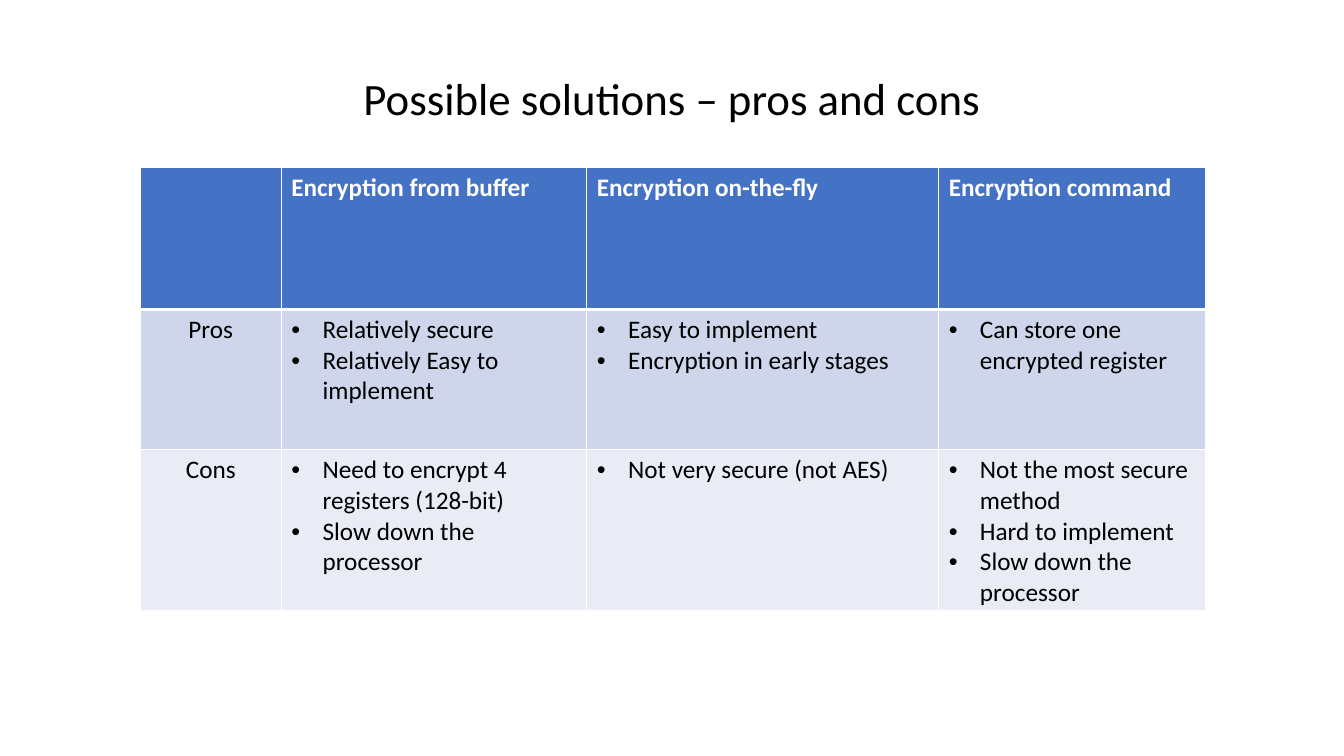
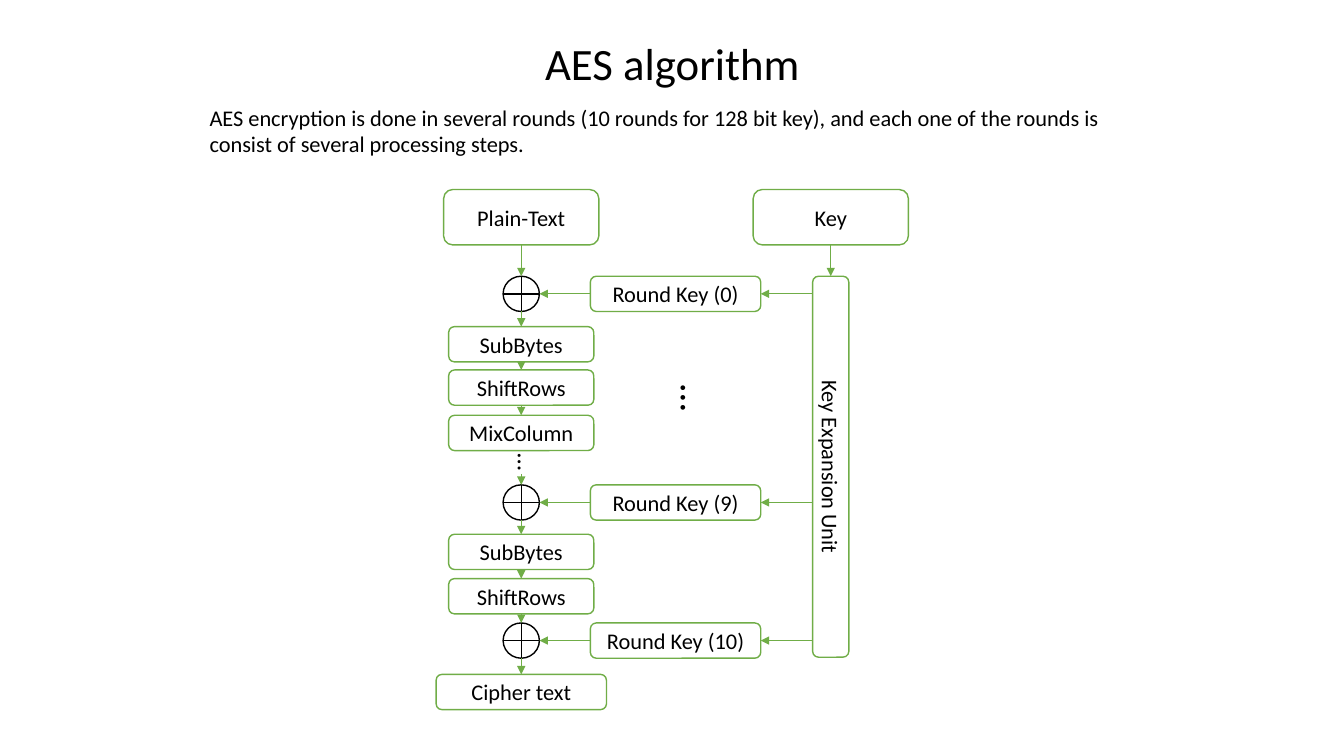
from itertools import pairwise

from lxml.etree import SubElement
from pptx import Presentation
from pptx.dml.color import RGBColor
from pptx.enum.shapes import MSO_CONNECTOR as Line, MSO_SHAPE as Preset
from pptx.enum.text import MSO_ANCHOR as Anchor, PP_ALIGN as Align
from pptx.oxml import parse_xml
from pptx.oxml.ns import nsdecls, qn
from pptx.util import Inches, Pt

FONT = "Calibri"
COLORS = {"text": "000000", "white": "FFFFFF", "header": "4472C4",
          "pros": "CFD5EA", "cons": "E9EBF5", "green": "70AD47"}

HEADINGS = ["Encryption from buffer", "Encryption on-the-fly", "Encryption command"]
ROWS = [
    ("Pros", "pros", [
        ["Relatively secure", "Relatively Easy to implement"],
        ["Easy to implement", "Encryption in early stages"],
        ["Can store one encrypted register"]]),
    ("Cons", "cons", [
        ["Need to encrypt 4 registers (128-bit)", "Slow down the processor"],
        ["Not very secure (not AES)"],
        ["Not the most secure method", "Hard to implement", "Slow down the processor"]]),
]
COLUMN_WIDTHS = [1.4, 3.03, 3.49, 2.65]
ROW_HEIGHTS = [1.41, 1.39, 1.39]

INTRO = ("AES encryption is done in several rounds (10 rounds for 128 bit key), "
         "and each one of the rounds is consist of several processing steps.")
BOX_HEIGHT, XOR_WIDTH = 0.35, 0.36
INPUT_SIZE, STEP_WIDTH, WIDE_WIDTH = (1.54, 0.55), 1.44, 1.69
FLOW_X, ROUND_X, KEY_X = 5.17, 6.7, 8.24
FIRST_ROUNDS = [("SubBytes", 3.24), ("ShiftRows", 3.67), ("MixColumn", 4.12)]
LAST_ROUND = [("SubBytes", 5.3), ("ShiftRows", 5.74)]
ROUND_KEYS = [("Round Key (0)", 2.74), ("Round Key (9)", 4.81), ("Round Key (10)", 6.18)]
DOTS = [((6.66, 3.68, 0.49, 0.57), 28), ((4.99, 4.45, 0.49, 0.4), 18)]


def rgb(name):
    return RGBColor.from_string(COLORS[name])


def write(frame, text, size, align=Align.LEFT, color="text", bold=False, first=True):
    para = frame.paragraphs[0] if first else frame.add_paragraph()
    para.alignment = align
    span = para.add_run()
    span.text = text
    span.font.name, span.font.size, span.font.bold = FONT, Pt(size), bold
    span.font.color.rgb = rgb(color)
    return para


def add_text(page, place, text, size, align=Align.LEFT, rotation=0):
    box = page.shapes.add_textbox(*map(Inches, place))
    box.rotation = rotation
    box.text_frame.word_wrap = True
    write(box.text_frame, text, size, align)


def add_page(deck, title, place):
    page = deck.slides.add_slide(deck.slide_layouts[6])
    add_text(page, place, title, 32, Align.CENTER)
    return page


def bullet(para):
    props = para._p.get_or_add_pPr()
    indent = Inches(0.31)
    props.set("marL", str(indent))
    props.set("indent", str(-indent))
    SubElement(props, qn("a:buFont")).set("typeface", "Arial")
    SubElement(props, qn("a:buChar")).set("char", "•")


def style_cell(cell, fill, top=1, bottom=1):
    cell.fill.solid()
    cell.fill.fore_color.rgb = rgb(fill)
    props = cell._tc.get_or_add_tcPr()
    borders = [("lnL", 1), ("lnR", 1), ("lnT", top), ("lnB", bottom)]
    for position, (side, width) in enumerate(borders):
        props.insert(position, parse_xml(
            f'<a:{side} {nsdecls("a")} w="{Pt(width)}"><a:solidFill>'
            f'<a:srgbClr val="{COLORS["white"]}"/></a:solidFill></a:{side}>'))


def build_comparison(deck):
    page = add_page(deck, "Possible solutions – pros and cons", (3.17, 0.65, 6.99, 0.64))
    place = (1.39, 1.66, sum(COLUMN_WIDTHS), sum(ROW_HEIGHTS))
    table = page.shapes.add_table(len(ROW_HEIGHTS), len(COLUMN_WIDTHS),
                                  *map(Inches, place)).table
    for column, width in zip(table.columns, COLUMN_WIDTHS):
        column.width = Inches(width)
    for row, height in zip(table.rows, ROW_HEIGHTS):
        row.height = Inches(height)

    for index in range(len(COLUMN_WIDTHS)):
        style_cell(table.cell(0, index), "header", bottom=3)
    for index, heading in enumerate(HEADINGS, 1):
        write(table.cell(0, index).text_frame, heading, 18, color="white", bold=True)

    for row, (label, fill, groups) in enumerate(ROWS, 1):
        for index in range(len(COLUMN_WIDTHS)):
            style_cell(table.cell(row, index), fill, top=3 if row == 1 else 1)
        write(table.cell(row, 0).text_frame, label, 18, Align.CENTER)
        for index, points in enumerate(groups, 1):
            frame = table.cell(row, index).text_frame
            for number, point in enumerate(points):
                bullet(write(frame, point, 18, first=number == 0))


def add_node(page, preset, center, top, width, height, line):
    node = page.shapes.add_shape(preset, *map(Inches, (center - width / 2, top, width, height)))
    node.shadow.inherit = False
    node.fill.solid()
    node.fill.fore_color.rgb = rgb("white")
    node.line.color.rgb = rgb(line)
    node.line.width = Pt(1)
    return node


def add_box(page, label, center, top, width, height=BOX_HEIGHT, vertical=False):
    box = add_node(page, Preset.ROUNDED_RECTANGLE, center, top, width, height, "green")
    frame = box.text_frame
    frame.word_wrap = True
    frame.vertical_anchor = Anchor.MIDDLE
    if vertical:
        frame._txBody.bodyPr.set("vert", "vert")
    write(frame, label, 16, Align.CENTER)
    return box


def add_xor(page, top):
    return add_node(page, Preset.FLOWCHART_OR, FLOW_X, top, XOR_WIDTH, BOX_HEIGHT, "text")


def add_arrow(page, start, end):
    arrow = page.shapes.add_connector(Line.STRAIGHT, *start, *end)
    arrow.line.color.rgb = rgb("green")
    arrow.line.width = Pt(0.5)
    SubElement(arrow.line._get_or_add_ln(), qn("a:tailEnd")).set("type", "triangle")
    SubElement(arrow._element.spPr, qn("a:effectLst"))
    return arrow


def is_box(node):
    return node.auto_shape_type == Preset.ROUNDED_RECTANGLE


def arrow_down(page, upper, lower):
    middle = Inches(FLOW_X)
    arrow = add_arrow(page, (middle, upper.top + upper.height), (middle, lower.top))
    if is_box(upper):
        arrow.begin_connect(upper, 2)
    if is_box(lower):
        arrow.end_connect(lower, 0)


def build_algorithm(deck):
    page = add_page(deck, "AES algorithm", (4.1, 0.31, 5.14, 0.64))
    add_text(page, (1.98, 0.98, 9.36, 0.64), INTRO, 16)

    plain = add_box(page, "Plain-Text", FLOW_X, 1.88, *INPUT_SIZE)
    key = add_box(page, "Key", KEY_X, 1.88, *INPUT_SIZE)
    expansion = add_box(page, "Key Expansion Unit", KEY_X, 2.74, XOR_WIDTH, 3.78, vertical=True)
    cipher = add_box(page, "Cipher text", FLOW_X, 6.69, WIDE_WIDTH)
    first_steps, last_steps = (
        [add_box(page, label, FLOW_X, top, STEP_WIDTH) for label, top in steps]
        for steps in (FIRST_ROUNDS, LAST_ROUND))

    xors = []
    for label, top in ROUND_KEYS:
        xor = add_xor(page, top)
        box = add_box(page, label, ROUND_X, top, WIDE_WIDTH)
        middle = box.top + box.height // 2
        supply = add_arrow(page, (expansion.left, middle), (box.left + box.width, middle))
        supply.end_connect(box, 3)
        feed = add_arrow(page, (box.left, middle), (xor.left + xor.width, middle))
        feed.begin_connect(box, 1)
        xors.append(xor)

    start, ninth, tenth = xors
    for chain in ([plain, start, *first_steps], [ninth, *last_steps, tenth, cipher]):
        for upper, lower in pairwise(chain):
            arrow_down(page, upper, lower)
    arrow_down(page, key, expansion)
    add_arrow(page, (Inches(FLOW_X), Inches(4.7)), (Inches(FLOW_X), ninth.top))

    for place, size in DOTS:
        add_text(page, place, "…", size, rotation=90)


def main():
    deck = Presentation()
    deck.slide_width, deck.slide_height = Inches(13.33), Inches(7.5)
    build_comparison(deck)
    build_algorithm(deck)
    deck.save("out.pptx")


if __name__ == "__main__":
    main()
